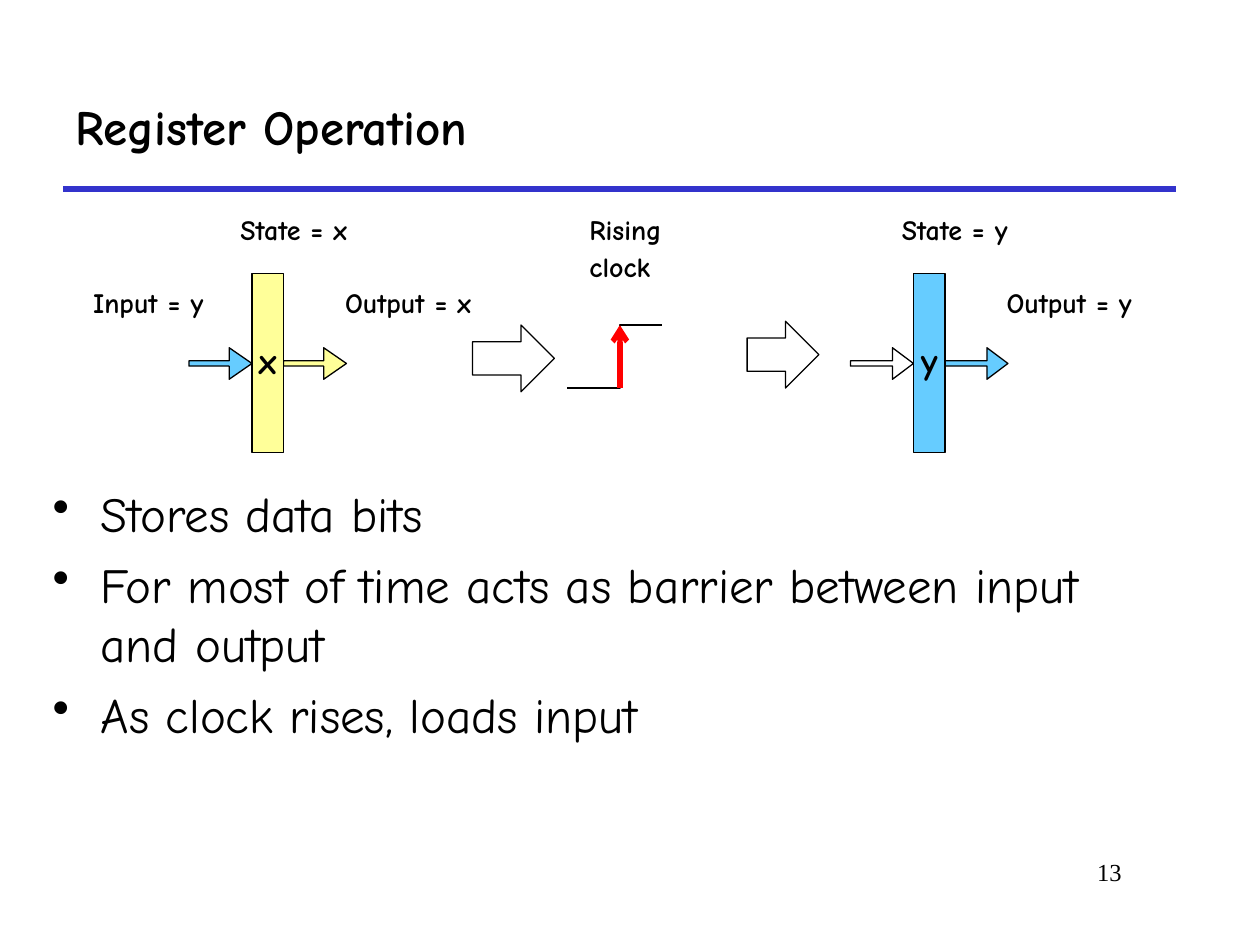
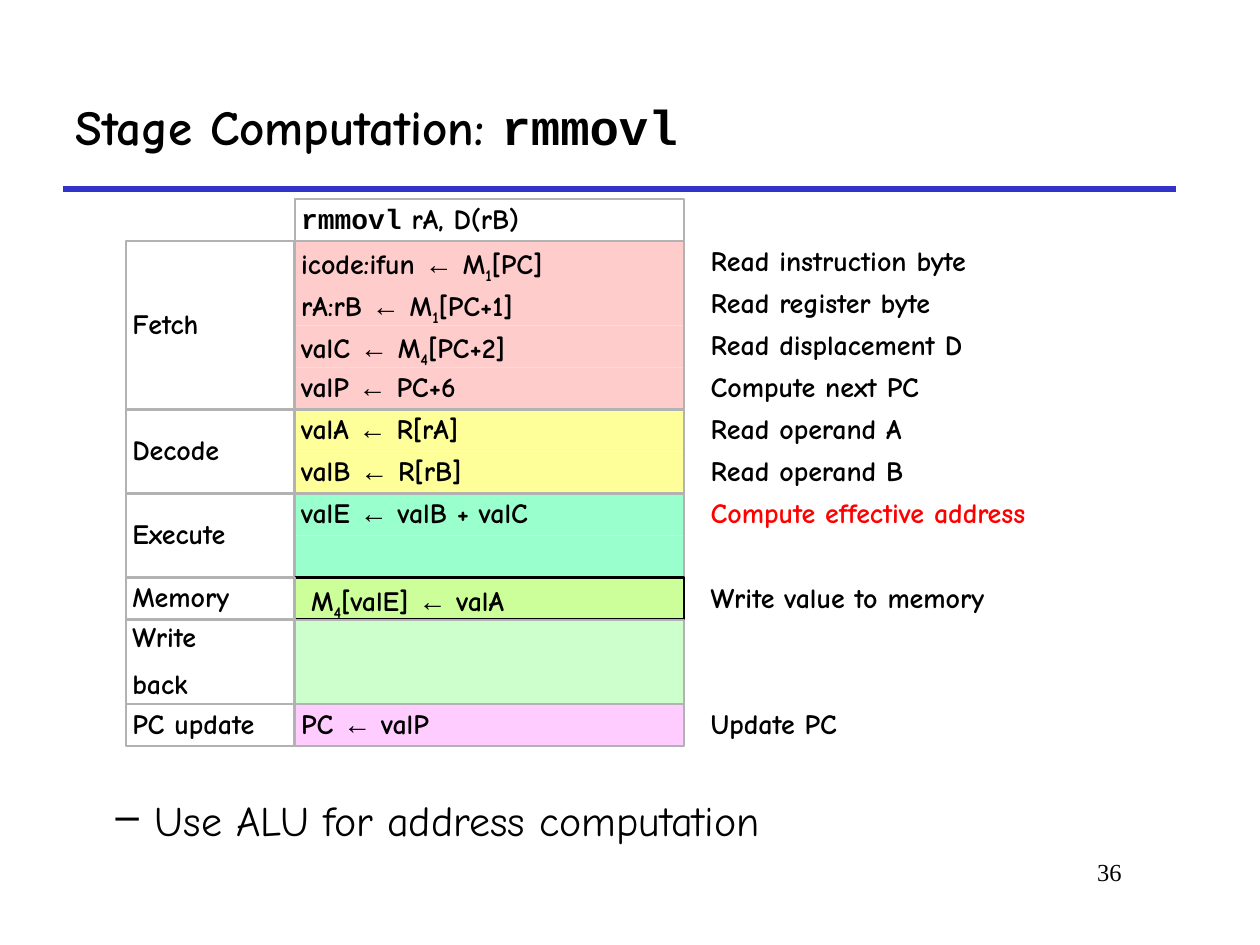
import pptx
import pptx.util
import pptx.dml.color
import pptx.enum.shapes
import pptx.enum.text
import pptx.oxml.ns
from lxml import etree

Inches = pptx.util.Inches
Pt = pptx.util.Pt
RGBColor = pptx.dml.color.RGBColor
Shape = pptx.enum.shapes.MSO_SHAPE
Align = pptx.enum.text.PP_ALIGN
Anchor = pptx.enum.text.MSO_ANCHOR
qn = pptx.oxml.ns.qn

BLACK = RGBColor(0x00, 0x00, 0x00)
WHITE = RGBColor(0xFF, 0xFF, 0xFF)
RED = RGBColor(0xFF, 0x00, 0x00)
RULE_BLUE = RGBColor(0x33, 0x33, 0xCC)
GRAY = RGBColor(0xB2, 0xB2, 0xB2)
SKY = RGBColor(0x66, 0xCC, 0xFF)
YELLOW = RGBColor(0xFF, 0xFF, 0x99)
PINK = RGBColor(0xFF, 0xCC, 0xCC)
MINT = RGBColor(0x99, 0xFF, 0xCC)
LIME = RGBColor(0xCC, 0xFF, 0x99)
PALE_GREEN = RGBColor(0xCC, 0xFF, 0xCC)
LILAC = RGBColor(0xFF, 0xCC, 0xFF)

BODY_FONT = "Comic Neue"
CODE_FONT = "Courier New"
TITLE = {"size": Pt(28), "bold": True}
LABEL = {"size": Pt(16), "bold": True}
STATE = {"size": Pt(21), "bold": True}
NUMBER = {"size": Pt(14), "name": "Times New Roman"}
TIGHT = {"line_spacing": 0.9}

ARROW = ("←", {"name": "Arial"})
ONE = ("1", {"baseline": -25000})
FOUR = ("4", {"baseline": -25000})
RMMOVL = ("rmmovl", {"name": CODE_FONT})

ROW_HEIGHT = 0.334
TABLE_TOP = 1.58
LABEL_LEFT, LABEL_WIDTH = 1, 1.34
CELL_LEFT, CELL_WIDTH = 2.34, 3.09
NOTE_LEFT = 5.59

STAGES = [
    ("Fetch", PINK, GRAY, [
        (["icode:ifun ", ARROW, " M", ONE, "[PC]"], "Read instruction byte"),
        (["rA:rB ", ARROW, " M", ONE, "[PC+1]"], "Read register byte"),
        (["valC ", ARROW, " M", FOUR, "[PC+2]"], "Read displacement D"),
        (["valP ", ARROW, " PC+6"], "Compute next PC"),
    ]),
    ("Decode", YELLOW, GRAY, [
        (["valA ", ARROW, " R[rA]"], "Read operand A"),
        (["valB ", ARROW, " R[rB]"], "Read operand B"),
    ]),
    ("Execute", MINT, GRAY, [
        (["valE ", ARROW, " valB + valC"], "Compute effective address"),
        (None, None),
    ]),
    ("Memory", LIME, BLACK, [
        ([" M", FOUR, "[valE] ", ARROW, " valA"], "Write value to memory"),
    ]),
    ("Write\nback", PALE_GREEN, GRAY, [(None, None), (None, None)]),
    ("PC update", LILAC, GRAY, [(["PC ", ARROW, " valP"], "Update PC")]),
]


def set_all(target, formats):
    for name, value in formats.items():
        setattr(target, name, value)


class Deck:
    def __init__(self):
        self.presentation = pptx.Presentation()
        self.presentation.slide_width = Inches(10)
        self.presentation.slide_height = Inches(7.5)
        self.slide = None

    def start_slide(self, title, number):
        layout = self.presentation.slide_layouts[6]
        self.slide = self.presentation.slides.add_slide(layout)
        self.line((0.5, 1.5), (9.33, 1.5), RULE_BLUE)
        self.text_box((0.5, 0.5, 8.83, 1), [title], TITLE, anchor=Anchor.MIDDLE)
        self.text_box((7.58, 6.75, 1.42, 0.5), [[number]], NUMBER,
                      {"alignment": Align.RIGHT})

    def set_text(self, shape, paragraphs, font, layout=None, color=BLACK, anchor=Anchor.TOP,
                 inset=0.1, wrap=True, gap=0, bullet=None):
        frame = shape.text_frame
        set_all(frame, {
            "word_wrap": wrap, "vertical_anchor": anchor,
            "margin_left": Inches(inset), "margin_right": Inches(inset),
            "margin_top": Inches(0.05), "margin_bottom": Inches(0.05),
        })
        for index, runs in enumerate(paragraphs):
            paragraph = frame.add_paragraph() if index else frame.paragraphs[0]
            if bullet:
                self.bullet(paragraph, *bullet)
            set_all(paragraph, {"alignment": Align.LEFT, **(layout or {})})
            if index:
                paragraph.space_before = Pt(gap)
            for item in runs:
                text, changes = (item, {}) if isinstance(item, str) else item
                formats = {"name": BODY_FONT, **font, **changes}
                baseline = formats.pop("baseline", None)
                run = paragraph.add_run()
                run.text = text
                set_all(run.font, formats)
                run.font.color.rgb = color
                if baseline:
                    run._r.get_or_add_rPr().set("baseline", str(baseline))

    def bullet(self, paragraph, character, left, hanging):
        properties = paragraph._p.get_or_add_pPr()
        properties.set("marL", str(Inches(left)))
        properties.set("indent", str(-Inches(hanging)))
        color = etree.SubElement(properties, qn("a:buClr"))
        etree.SubElement(color, qn("a:srgbClr"), val=str(BLACK))
        etree.SubElement(properties, qn("a:buChar"), char=character)

    def text_box(self, box, paragraphs, font, layout=None, **options):
        shape = self.slide.shapes.add_textbox(*map(Inches, box))
        self.set_text(shape, paragraphs, font, layout, **options)

    def label(self, box, *lines, **options):
        self.text_box(box, [[line] for line in lines], LABEL, TIGHT, gap=4, **options)

    def paint(self, shape, fill, line, width):
        shape.shadow.inherit = False
        if fill is None:
            shape.fill.background()
        else:
            shape.fill.solid()
            shape.fill.fore_color.rgb = fill
        if line is None:
            shape.line.fill.background()
        else:
            shape.line.color.rgb = line
            shape.line.width = Pt(width)

    def shape(self, kind, box, fill=None, line=BLACK, width=0.75, adjustments=()):
        shape = self.slide.shapes.add_shape(kind, *map(Inches, box))
        self.paint(shape, fill, line, width)
        for index, value in enumerate(adjustments):
            shape.adjustments[index] = value
        return shape

    def polyline(self, points):
        start, *rest = [tuple(map(Inches, point)) for point in points]
        builder = self.slide.shapes.build_freeform(*start)
        builder.add_line_segments(rest, close=False)
        self.paint(builder.convert_to_shape(), None, BLACK, 0.75)

    def line(self, start, end, color, arrow=False):
        connector = self.slide.shapes.add_connector(
            pptx.enum.shapes.MSO_CONNECTOR.STRAIGHT, *map(Inches, start + end))
        connector.line.color.rgb = color
        connector.line.width = Pt(3)
        if arrow:
            etree.SubElement(connector.line._get_or_add_ln(), qn("a:tailEnd"), type="arrow")
        etree.SubElement(connector._element.spPr, qn("a:effectLst"))

    def register(self, left, state, input_fill, fill, head):
        self.label((left - 0.19, 1.67, 1.07, 0.34), f"State = {state}", wrap=False)
        self.label((left + 0.64, 2.25, 1.21, 0.34), f"Output = {state}", wrap=False)
        for arrow_left, arrow_fill in ((left - 0.5, input_fill), (left + 0.25, fill)):
            self.shape(Shape.RIGHT_ARROW, (arrow_left, 2.76, 0.5, 0.25), arrow_fill,
                       adjustments=(0.167, head))
        body = self.shape(Shape.RECTANGLE, (left, 2.17, 0.25, 1.42), fill)
        self.set_text(body, [[state]], STATE, {**TIGHT, "alignment": Align.CENTER},
                      anchor=Anchor.MIDDLE, wrap=False)

    def cell(self, left, row, width, rows=1, paragraphs=None, fill=None, line=GRAY,
             anchor=Anchor.TOP):
        box = (left, TABLE_TOP + row * ROW_HEIGHT, width, rows * ROW_HEIGHT)
        shape = self.shape(Shape.RECTANGLE, box, fill, line, 1.5)
        if paragraphs:
            self.set_text(shape, paragraphs, LABEL, TIGHT, inset=0.05, gap=10, anchor=anchor)

    def stage(self, row, name, fill, outline, steps):
        count = len(steps)
        for index, (operation, note) in enumerate(steps, row):
            self.cell(CELL_LEFT, index, CELL_WIDTH, fill=fill,
                      paragraphs=[operation] if operation else None,
                      line=outline if count == 1 else None)
            if note:
                self.label((NOTE_LEFT, TABLE_TOP + index * ROW_HEIGHT, CELL_WIDTH, ROW_HEIGHT),
                           note, inset=0.05, color=RED if name == "Execute" else BLACK)
        if count > 1:
            self.cell(CELL_LEFT, row, CELL_WIDTH, count, line=outline)
        self.cell(LABEL_LEFT, row, LABEL_WIDTH, count,
                  [[line] for line in name.split("\n")], anchor=Anchor.MIDDLE)


def build_register_slide(deck):
    deck.start_slide(["Register Operation"], "13")
    deck.text_box((0.32, 3.79, 9.08, 2.79), [
        ["Stores data bits"],
        ["For most of time acts as barrier between input and output"],
        ["As clock rises, loads input"],
    ], {"size": Pt(28)}, gap=7, bullet=("•", 0.38, 0.38))
    deck.label((0.64, 2.25, 1.09, 0.34), "Input = y", wrap=False)
    deck.register(2, "x", SKY, YELLOW, 0.722)
    deck.register(7.25, "y", WHITE, SKY, 0.666)
    deck.label((4.58, 1.67, 1.5, 0.64), "Rising", "clock")
    deck.polyline([(4.5, 3.08), (4.92, 3.08), (4.92, 2.58), (5.25, 2.58)])
    for box in ((3.75, 2.58, 0.65, 0.53), (5.93, 2.55, 0.57, 0.53)):
        deck.shape(Shape.RIGHT_ARROW, box, adjustments=(0.5, 0.5))
    deck.line((4.92, 3.08), (4.92, 2.58), RED, arrow=True)


def build_stage_slide(deck):
    deck.start_slide(["Stage Computation: ", RMMOVL], "36")
    deck.text_box((0.32, 6.26, 9.09, 1.29), [["Use ALU for address computation"]],
                  {"size": Pt(24)}, bullet=("–", 0.81, 0.31))
    deck.cell(CELL_LEFT, 0, CELL_WIDTH, paragraphs=[[RMMOVL, " rA, D(rB)"]])
    row = 1
    for name, fill, outline, steps in STAGES:
        deck.stage(row, name, fill, outline, steps)
        row += len(steps)


def main():
    deck = Deck()
    build_register_slide(deck)
    build_stage_slide(deck)
    deck.presentation.save("out.pptx")


if __name__ == "__main__":
    main()
